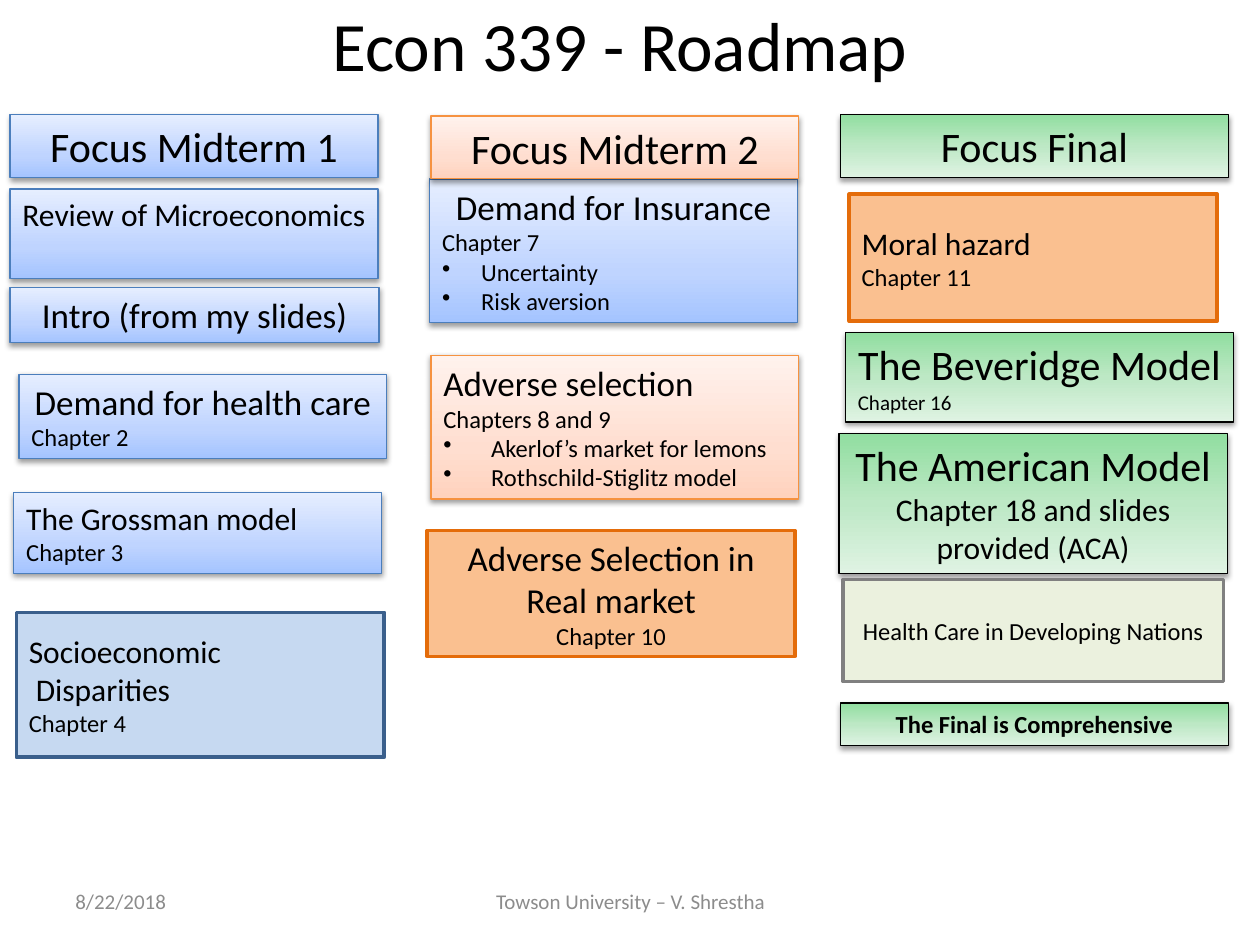
"""Build the Econ 339 course roadmap slide."""
from lxml import etree
from pptx import Presentation
from pptx.dml.color import RGBColor
from pptx.enum.shapes import MSO_SHAPE
from pptx.enum.text import MSO_ANCHOR, MSO_AUTO_SIZE, PP_ALIGN
from pptx.oxml.ns import qn
from pptx.util import Inches, Pt

LEFT, CENTER = PP_ALIGN.LEFT, PP_ALIGN.CENTER
TOP, MIDDLE = MSO_ANCHOR.TOP, MSO_ANCHOR.MIDDLE
RECTANGLE = MSO_SHAPE.RECTANGLE
NO_FIT, GROW = MSO_AUTO_SIZE.NONE, MSO_AUTO_SIZE.SHAPE_TO_FIT_TEXT

THEME = {
    "font": "Calibri", "text": "000000", "muted": "8C8C8C",
    "title": 39.6, "head": 24, "topic": 20, "sub": 18, "chapter": 14, "small": 12,
    "gradients": {
        "blue": ([(0, "A4C4FF"), (35, "BFD4FF"), (100, "E6EEFF")], 270, "4B7EBC"),
        "peach": ([(0, "FFD2BD"), (35, "FFDED0"), (100, "FFF2ED")], 270, "F69240"),
        "green": ([(0, "91DEA0"), (50, "BDE8C5"), (100, "DFF3E3")], 90, "000000"),
    },
    "solids": {
        "sky": ("C6D9F1", "3A5F8C"),
        "orange": ("FAC090", "E46C0A"),
        "olive": ("EBF1DE", "808080"),
    },
}

TITLE = ("Econ 339 - Roadmap", (0.42, 0.08, 9, 0.53))
FOOTERS = [
    ("8/22/2018", LEFT, (0.5, 6.95, 2.33, 0.4)),
    ("Towson University – V. Shrestha", CENTER, (3.42, 6.95, 3.17, 0.4)),
]

MIDTERM_1 = [
    ("blue", (0.08, 0.91, 2.92, 0.5), [("Focus Midterm 1", "head", CENTER)]),
    ("blue", (0.08, 1.5, 2.92, 0.71), [("Review of Microeconomics", "sub", CENTER)]),
    ("blue", (0.08, 2.28, 2.93, 0.44), [("Intro (from my slides)", "topic", CENTER)]),
    ("blue", (0.15, 2.97, 2.92, 0.67),
     [("Demand for health care", "topic", CENTER), ("Chapter 2", "chapter", LEFT)]),
    ("blue", (0.11, 3.91, 2.92, 0.64),
     [("The Grossman model", "sub", LEFT), ("Chapter 3", "chapter", LEFT)]),
    ("sky", (0.13, 4.86, 2.92, 1.15),
     [("Socioeconomic", "sub", LEFT), (" Disparities", "sub", LEFT),
      ("Chapter 4", "chapter", LEFT)]),
]
MIDTERM_2 = [
    ("blue", (3.41, 1.42, 2.92, 1.14),
     [("Demand for Insurance", "topic", CENTER), ("Chapter 7", "chapter", LEFT),
      ("Uncertainty", "chapter", LEFT, 0.31), ("Risk aversion", "chapter", LEFT, 0.31)]),
    ("peach", (3.42, 0.92, 2.92, 0.5), [("Focus Midterm 2", "head", CENTER)]),
    ("peach", (3.42, 2.82, 2.92, 1.14),
     [("Adverse selection", "topic", LEFT), ("Chapters 8 and 9", "chapter", LEFT),
      ("Akerlof’s market for lemons", "chapter", LEFT, 0.38),
      ("Rothschild-Stiglitz model", "chapter", LEFT, 0.38)]),
    ("orange", (3.39, 4.21, 2.92, 1),
     [("Adverse Selection in", "topic", CENTER), ("Real market", "topic", CENTER),
      ("Chapter 10", "chapter", CENTER)]),
]
FINAL = [
    ("green", (6.67, 0.91, 3.08, 0.5), [("Focus Final", "head", CENTER)]),
    ("orange", (6.74, 1.54, 2.92, 1.01),
     [("Moral hazard", "sub", LEFT), ("Chapter 11", "chapter", LEFT)]),
    ("green", (6.71, 2.64, 3.08, 0.71),
     [("The Beveridge Model", "head", CENTER), ("Chapter 16", "small", LEFT)]),
    ("green", (6.66, 3.44, 3.08, 1.11),
     [("The American Model", "head", CENTER),
      ("Chapter 18 and slides provided (ACA)", "sub", CENTER)]),
    ("olive", (6.69, 4.6, 3.02, 0.81),
     [("Health Care in Developing Nations", "chapter", CENTER)]),
    ("green", (6.67, 5.58, 3.08, 0.34),
     [("The Final is Comprehensive", "chapter", CENTER, 0, True)]),
]


def child(parent, tag, **attributes):
    values = {key: str(value) for key, value in attributes.items()}
    return etree.SubElement(parent, qn(tag), values)


def style_paragraph(paragraph, text, size, align, indent=0, bold=False, color="text"):
    paragraph.text = text
    paragraph.alignment = align
    font = paragraph.font
    font.name, font.size, font.bold = THEME["font"], Pt(THEME[size]), bold
    font.color.rgb = RGBColor.from_string(THEME[color])
    if indent:
        properties = paragraph._p.get_or_add_pPr()
        properties.set("marL", str(Inches(indent)))
        properties.set("indent", str(-Inches(indent)))
        bullet = etree.Element(qn("a:buChar"), {"char": "•"})
        properties.insert_element_before(bullet, "a:tabLst", "a:defRPr", "a:extLst")


def write(frame, lines, anchor, fit=NO_FIT, color="text"):
    frame.word_wrap, frame.vertical_anchor, frame.auto_size = True, anchor, fit
    for index, line in enumerate(lines):
        paragraph = frame.add_paragraph() if index else frame.paragraphs[0]
        style_paragraph(paragraph, *line, color=color)


def fill_gradient(box, stops, angle):
    gradient = etree.Element(qn("a:gradFill"), {"rotWithShape": "1"})
    stop_list = child(gradient, "a:gsLst")
    for position, color in stops:
        child(child(stop_list, "a:gs", pos=position * 1000), "a:srgbClr", val=color)
    child(gradient, "a:lin", ang=angle * 60000, scaled=0)
    box._element.spPr.find(qn("a:prstGeom")).addnext(gradient)


def add_shadow(box):
    effects = box._element.spPr.find(qn("a:effectLst"))
    shadow = child(effects, "a:outerShdw", blurRad=Pt(3.1), dist=Pt(1.6),
                   dir=90 * 60000, rotWithShape=0)
    child(child(shadow, "a:srgbClr", val="000000"), "a:alpha", val=38000)


def add_topic(slide, style, place, lines):
    box = slide.shapes.add_shape(RECTANGLE, *map(Inches, place))
    box.shadow.inherit = False
    if style in THEME["gradients"]:
        stops, angle, outline = THEME["gradients"][style]
        fill_gradient(box, stops, angle)
        add_shadow(box)
        width, anchor, fit = 0.75, TOP, GROW
    else:
        color, outline = THEME["solids"][style]
        box.fill.solid()
        box.fill.fore_color.rgb = RGBColor.from_string(color)
        width, anchor, fit = 2, MIDDLE, NO_FIT
    box.line.color.rgb = RGBColor.from_string(outline)
    box.line.width = Pt(width)
    write(box.text_frame, lines, anchor, fit)


def main():
    deck = Presentation()
    deck.slide_width, deck.slide_height = Inches(10), Inches(7.5)
    slide = deck.slides.add_slide(deck.slide_layouts[5])

    text, place = TITLE
    title = slide.shapes.title
    title.left, title.top, title.width, title.height = map(Inches, place)
    write(title.text_frame, [(text, "title", CENTER)], MIDDLE)

    for text, align, place in FOOTERS:
        footer = slide.shapes.add_textbox(*map(Inches, place))
        write(footer.text_frame, [(text, "small", align)], MIDDLE, color="muted")

    for topic in MIDTERM_1 + MIDTERM_2 + FINAL:
        add_topic(slide, *topic)
    deck.save("out.pptx")


if __name__ == "__main__":
    main()
